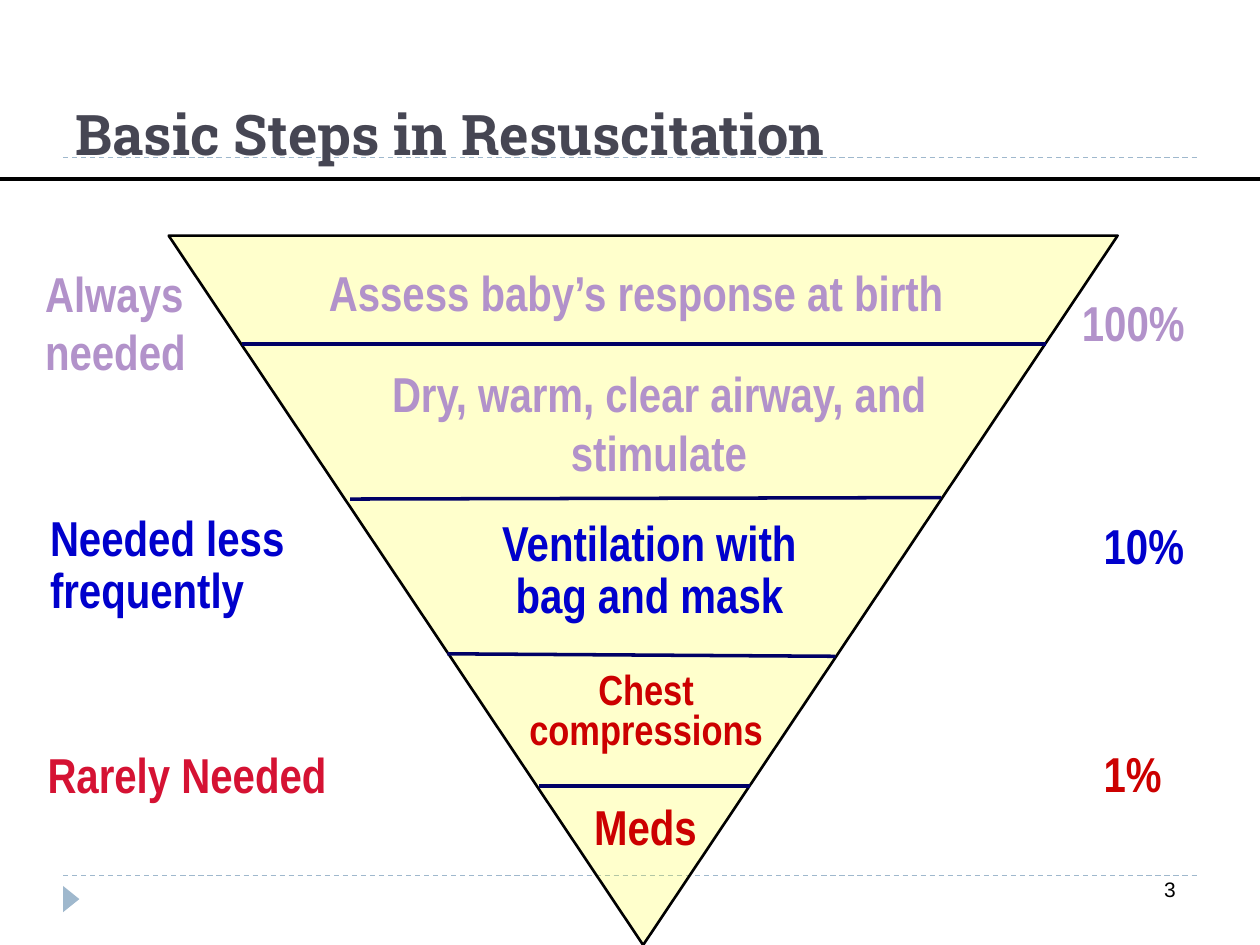
"""Build the inverted pyramid slide of the basic steps in resuscitation."""
from lxml.etree import SubElement
from pptx import Presentation
from pptx.dml.color import RGBColor
from pptx.enum.dml import MSO_LINE
from pptx.enum.shapes import MSO_CONNECTOR, MSO_SHAPE
from pptx.enum.text import MSO_ANCHOR, PP_ALIGN
from pptx.oxml.ns import qn
from pptx.util import Cm, Pt

BLACK = RGBColor(0x00, 0x00, 0x00)
SLATE = RGBColor(0x46, 0x46, 0x53)
STEEL = RGBColor(0x9F, 0xB8, 0xCD)
YELLOW = RGBColor(0xFF, 0xFF, 0x00)
NAVY = RGBColor(0x00, 0x00, 0x66)
LILAC = RGBColor(0xB2, 0x92, 0xCA)
BLUE = RGBColor(0x00, 0x00, 0xCC)
RED = RGBColor(0xCC, 0x00, 0x00)
CRIMSON = RGBColor(0xD5, 0x12, 0x33)
NARROW = "Arial Narrow"
LEFT, CENTER = PP_ALIGN.LEFT, PP_ALIGN.CENTER

deck = Presentation()
deck.slide_width, deck.slide_height = Cm(25.4), Cm(19.05)
slide = deck.slides.add_slide(deck.slide_layouts[6])
shapes = slide.shapes


def add_rule(x1, y1, x2, y2, color, width, dash=None):
    rule = shapes.add_connector(MSO_CONNECTOR.STRAIGHT, Cm(x1), Cm(y1), Cm(x2), Cm(y2))
    rule.line.color.rgb = color
    rule.line.width = Pt(width)
    if dash:
        rule.line.dash_style = dash
    SubElement(rule._element.spPr, qn("a:effectLst"))


def add_label(lines, box, color, size=28, align=LEFT, spacings=(), wrap=True,
              font=NARROW, bold=True, anchor=MSO_ANCHOR.TOP):
    frame = shapes.add_textbox(*map(Cm, box)).text_frame
    frame.word_wrap = wrap
    frame.vertical_anchor = anchor
    frame.text = "\n".join(lines)
    for paragraph in frame.paragraphs:
        paragraph.alignment = align
        paragraph.font.name = font
        paragraph.font.size = Pt(size)
        paragraph.font.bold = bold
        paragraph.font.color.rgb = color
    for paragraph, spacing in zip(frame.paragraphs, spacings):
        paragraph.line_spacing = spacing


for y in (17.65, 3.18):
    add_rule(1.27, y, 24.13, y, STEEL, 0.75, MSO_LINE.DASH)

footer_marker = shapes.add_shape(
    MSO_SHAPE.ISOSCELES_TRIANGLE, Cm(1.17), Cm(17.96), Cm(0.53), Cm(0.33))
footer_marker.rotation = 90
footer_marker.shadow.inherit = False
footer_marker.fill.solid()
footer_marker.fill.fore_color.rgb = STEEL
footer_marker.line.fill.background()

pyramid = shapes.add_shape(
    MSO_SHAPE.ISOSCELES_TRIANGLE, Cm(3.4), Cm(4.75), Cm(19.13), Cm(14.3))
pyramid.rotation = 180
pyramid.shadow.inherit = False
pyramid.fill.solid()
pyramid.fill.fore_color.rgb = YELLOW
pyramid_color = pyramid._element.spPr.find(qn("a:solidFill")).find(qn("a:srgbClr"))
SubElement(pyramid_color, qn("a:alpha"), val="20000")
pyramid.line.color.rgb = BLACK
pyramid.line.width = Pt(1.5)

add_label(["Basic Steps in Resuscitation"], (1.27, 0, 22.86, 3.48), SLATE, 32,
          font="Roboto Slab", anchor=MSO_ANCHOR.BOTTOM)

for divider in (
    (4.88, 6.93, 21.08, 6.93),
    (7.06, 10.06, 18.97, 10.03),
    (9.02, 13.18, 16.84, 13.23),
    (10.87, 15.85, 15.11, 15.85),
):
    add_rule(*divider, NAVY, 2)
add_rule(0, 3.61, 25.4, 3.61, BLACK, 2.25)

add_label(["Always", "needed"], (0.66, 5.18, 3.66, 3.81), LILAC)
add_label(["Needed less", "frequently"], (0.76, 10.34, 5.23, 2.29), BLUE,
          spacings=(0.8, 0.9), wrap=False)
add_label(["Rarely Needed"], (0.71, 14.88, 7.42, 1.45), CRIMSON)

for share, x, y, width, color in (
    ("100%", 21.56, 5.77, 2.57, LILAC),
    ("10%", 22, 10.26, 2.13, BLUE),
    ("1%", 22, 14.86, 1.68, RED),
):
    add_label([share], (x, y, width, 1.45), color, wrap=False)

add_label(["Assess baby’s response at birth"], (6.38, 5.16, 13.89, 1.45), LILAC)
add_label(["Dry, warm, clear airway, and stimulate"], (6.53, 7.21, 13.51, 2.64),
          LILAC, align=CENTER)
add_label(["Ventilation with", "bag and mask"], (8.86, 10.21, 8.46, 2.51), BLUE,
          align=CENTER, spacings=(1, 0.9))
add_label(["Chest", "compressions"], (10.36, 13.44, 5.33, 1.88), RED, 24,
          align=CENTER, spacings=(0.8, 0.8))
add_label(["Meds"], (11.73, 15.93, 2.59, 1.45), RED)

add_label(["3"], (23.22, 17.55, 0.74, 0.76), BLACK, 12, wrap=False,
          font="Arial", bold=False)

deck.save("out.pptx")
